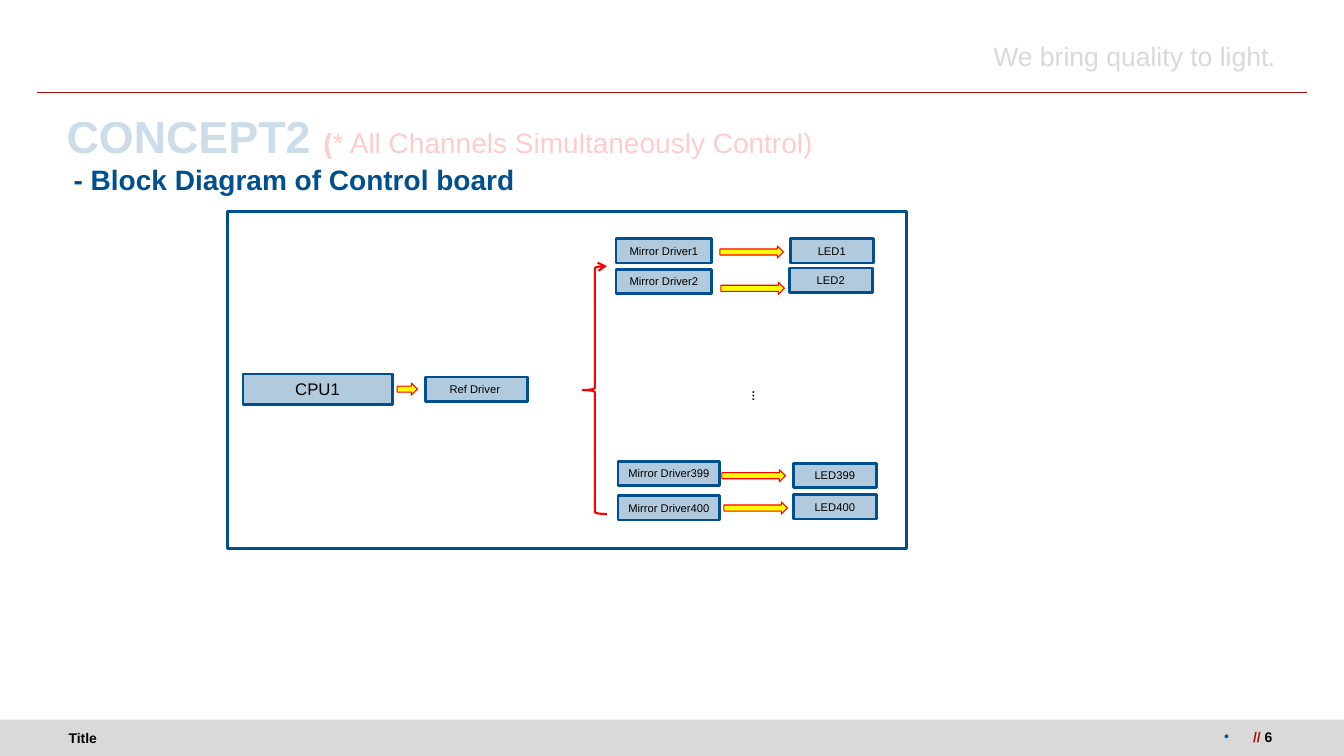
from lxml import etree
from pptx import Presentation
from pptx.dml.color import RGBColor
from pptx.enum import shapes, text
from pptx.oxml import ns
from pptx.util import Inches, Pt

NAVY = RGBColor(0x00, 0x50, 0x90)
PALE_BLUE = RGBColor(0xB2, 0xCA, 0xDD)
CRIMSON = RGBColor(0xAA, 0x0B, 0x11)
RED = RGBColor(0xFF, 0x00, 0x00)
YELLOW = RGBColor(0xFF, 0xFF, 0x00)
GRAY = RGBColor(0xD9, 0xD9, 0xD9)
BLACK = RGBColor(0x00, 0x00, 0x00)

LEFT, CENTER, RIGHT = text.PP_ALIGN.LEFT, text.PP_ALIGN.CENTER, text.PP_ALIGN.RIGHT
TOP, MIDDLE = text.MSO_ANCHOR.TOP, text.MSO_ANCHOR.MIDDLE
WIDE_INSETS = (0.13, 0.07, 0.13, 0.07)
BOX_INSETS = (0.1, 0.05, 0.1, 0.05)


def add_run(paragraph, wording, size=8, color=BLACK, bold=False, italic=False, alpha=None):
    run = paragraph.add_run()
    run.text = wording
    font = run.font
    font.name, font.size, font.bold, font.italic = "Arial", Pt(size), bold, italic
    font.color.rgb = color
    if alpha is not None:
        rgb = run._r.find(".//" + ns.qn("a:srgbClr"))
        etree.SubElement(rgb, ns.qn("a:alpha")).set("val", str(alpha * 1000))


class BlockDiagram:
    """Holds the shared style and the current slide."""

    box_height = 0.24

    def __init__(self, presentation):
        self.slide = presentation.slides.add_slide(presentation.slide_layouts[5])

    def frame(self, shape, align=LEFT, anchor=TOP, insets=WIDE_INSETS, wrap=True, grow=False):
        frame = shape.text_frame
        frame.word_wrap = wrap
        fit = text.MSO_AUTO_SIZE
        frame.auto_size = fit.SHAPE_TO_FIT_TEXT if grow else fit.NONE
        frame.vertical_anchor = anchor
        (frame.margin_left, frame.margin_top,
         frame.margin_right, frame.margin_bottom) = map(Inches, insets)
        frame.paragraphs[0].alignment = align
        return frame.paragraphs[0]

    def title(self, left, top, width, height):
        title = self.slide.shapes.title
        title.left, title.top = Inches(left), Inches(top)
        title.width, title.height = Inches(width), Inches(height)
        return self.frame(title, anchor=MIDDLE)

    def label(self, left, top, width, height, rotation=0, **layout):
        box = self.slide.shapes.add_textbox(*map(Inches, (left, top, width, height)))
        box.rotation = rotation
        return self.frame(box, **layout)

    def shape(self, kind, left, top, width, height, fill=None, line=None, weight=1):
        shape = self.slide.shapes.add_shape(kind, *map(Inches, (left, top, width, height)))
        shape.shadow.inherit = False
        if fill is None:
            shape.fill.background()
        else:
            shape.fill.solid()
            shape.fill.fore_color.rgb = fill
        if line is None:
            shape.line.fill.background()
        else:
            shape.line.color.rgb = line
            shape.line.width = Pt(weight)
        return shape

    def block(self, wording, left, top, width, height=box_height, size=8):
        shape = self.shape(shapes.MSO_SHAPE.RECTANGLE, left, top, width, height,
                           PALE_BLUE, NAVY, 2)
        paragraph = self.frame(shape, align=CENTER, insets=BOX_INSETS, grow=True)
        add_run(paragraph, wording, size=size)

    def arrow(self, left, top, width=0.63):
        self.shape(shapes.MSO_SHAPE.RIGHT_ARROW, left, top, width, 0.12, YELLOW, RED, 0.75)

    def brace(self, left, top, width, height):
        brace = self.shape(shapes.MSO_SHAPE.LEFT_BRACE, left, top, width, height,
                           line=RED, weight=1.5)
        outline = brace.line._get_or_add_ln()
        etree.SubElement(outline, ns.qn("a:tailEnd")).set("type", "arrow")

    def rule(self, start_x, end_x, y):
        rule = self.slide.shapes.add_connector(
            shapes.MSO_CONNECTOR.STRAIGHT, *map(Inches, (start_x, y, end_x, y)))
        rule.line.color.rgb = CRIMSON
        rule.line.width = Pt(0.75)
        etree.SubElement(rule._element.spPr, ns.qn("a:effectLst"))

    def bullet(self, paragraph, color):
        properties = paragraph._p.get_or_add_pPr()
        properties.set("marL", str(Inches(0.25)))
        properties.set("indent", str(-Inches(0.25)))
        bullet_color = etree.SubElement(properties, ns.qn("a:buClr"))
        etree.SubElement(bullet_color, ns.qn("a:srgbClr")).set("val", str(color))
        etree.SubElement(properties, ns.qn("a:buFont")).set("typeface", "Arial")
        etree.SubElement(properties, ns.qn("a:buChar")).set("char", "•")


def main():
    presentation = Presentation()
    presentation.slide_width, presentation.slide_height = Inches(13.33), Inches(7.5)
    diagram = BlockDiagram(presentation)

    # Header and footer
    diagram.shape(shapes.MSO_SHAPE.RECTANGLE, 0, 7.14, 13.33, 0.36, GRAY)
    diagram.rule(0.37, 12.96, 0.92)
    footer = diagram.label(0.65, 7.14, 4.83, 0.36, anchor=MIDDLE,
                           insets=(0.03, 0.07, 0.13, 0.07))
    add_run(footer, "Title", size=10, bold=True)
    tagline = diagram.label(9.19, 0.33, 3.67, 0.45, align=RIGHT, grow=True)
    add_run(tagline, "We bring quality to light", size=19, color=GRAY)
    add_run(tagline, ". ", size=19, color=GRAY, italic=True)
    page = diagram.label(10.76, 7.16, 1.99, 0.37, align=RIGHT)
    diagram.bullet(page, NAVY)
    add_run(page, " // ", size=10, color=CRIMSON, bold=True)
    add_run(page, "6", size=10, bold=True)

    # Title and subtitle
    title = diagram.title(0.53, 0.99, 12.22, 0.71)
    add_run(title, "CONCEPT2 ", size=32, color=NAVY, bold=True, alpha=20)
    add_run(title, "(", size=20, color=RED, bold=True, alpha=20)
    add_run(title, "* All Channels Simultaneously Control)", size=20, color=RED, alpha=20)
    subtitle = diagram.label(0.6, 1.42, 12.22, 0.71, anchor=MIDDLE)
    add_run(subtitle, "- Block Diagram of Control board", size=20, color=NAVY, bold=True)

    # Control board with its processor and reference driver
    diagram.shape(shapes.MSO_SHAPE.RECTANGLE, 2.26, 2.1, 6.73, 3.34, line=NAVY, weight=2.25)
    diagram.block("CPU1", 2.41, 3.71, 1.48, 0.3, size=12)
    diagram.arrow(3.94, 3.8, 0.2)
    diagram.block("Ref Driver ", 4.22, 3.74, 1.01)
    diagram.brace(5.78, 2.64, 0.24, 2.46)

    # Channels: number, driver (left, top, width), arrow (left, top), LED (left, top)
    channels = [
        (1, (6.11, 2.37, 0.95), (7.14, 2.44), (7.84, 2.37)),
        (2, (6.11, 2.67, 0.95), (7.15, 2.8), (7.83, 2.66)),
        (399, (6.13, 4.58, 1.01), (7.16, 4.66), (7.87, 4.6)),
        (400, (6.13, 4.92, 1.01), (7.18, 4.98), (7.87, 4.91)),
    ]
    for number, driver, arrow, led in channels:
        diagram.block(f"Mirror Driver{number}", *driver)
        diagram.arrow(*arrow)
        diagram.block(f"LED{number}", *led, 0.82)
    ellipsis = diagram.label(7.35, 3.81, 0.31, 0.24, rotation=90, insets=BOX_INSETS,
                             wrap=False, grow=True)
    add_run(ellipsis, "…", bold=True)

    presentation.save("out.pptx")


if __name__ == "__main__":
    main()
